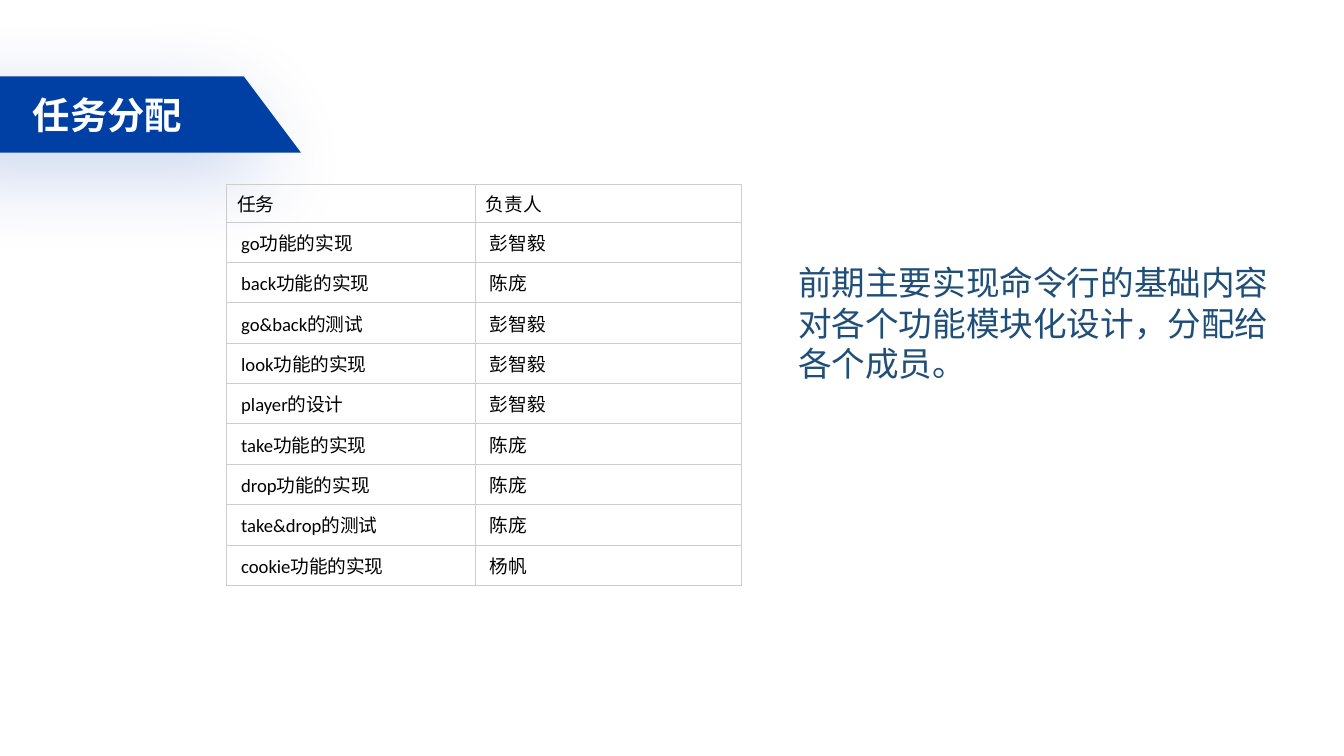
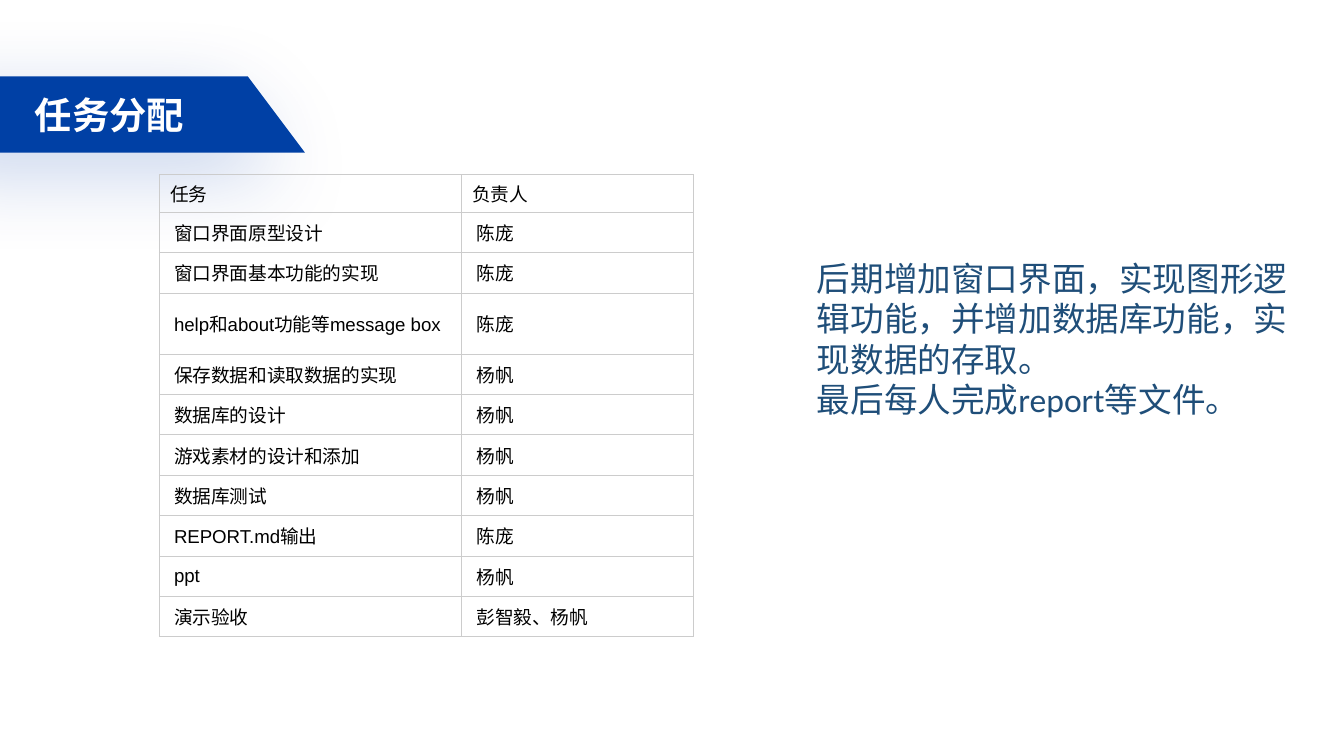
import pptx
import pptx.dml.color
import pptx.enum.shapes
import pptx.enum.text
import pptx.oxml
import pptx.oxml.ns
import pptx.util

WIDTH = pptx.util.Inches(10)
HEIGHT = WIDTH * 9 // 16
BAND_BLUE = "0040A5"
SHADOW_BLUE = "003DAB"
NOTE_BLUE = "1F4E79"
BORDER_GREY = "CCCCCC"
WHITE = "FFFFFF"
BLACK = "000000"
CJK_FONT = "Noto Sans CJK SC"
TITLE_ONLY = 5
BAND_TOP = 10.1
BAND_HEIGHT = 10.1
HEADER_ROW = 4.95
TASK_ROW = 5.34
LINE_STEP = 2.75

HEADINGS = ("任务", "负责人")
EARLY_TASKS = [
    ("go功能的实现", "彭智毅"),
    ("back功能的实现", "陈庞"),
    ("go&back的测试", "彭智毅"),
    ("look功能的实现", "彭智毅"),
    ("player的设计", "彭智毅"),
    ("take功能的实现", "陈庞"),
    ("drop功能的实现", "陈庞"),
    ("take&drop的测试", "陈庞"),
    ("cookie功能的实现", "杨帆"),
]
LATE_TASKS = [
    ("窗口界面原型设计", "陈庞"),
    ("窗口界面基本功能的实现", "陈庞"),
    ("help和about功能等message box", "陈庞"),
    ("保存数据和读取数据的实现", "杨帆"),
    ("数据库的设计", "杨帆"),
    ("游戏素材的设计和添加", "杨帆"),
    ("数据库测试", "杨帆"),
    ("REPORT.md输出", "陈庞"),
    ("ppt", "杨帆"),
    ("演示验收", "彭智毅、杨帆"),
]
EARLY_NOTE = ["前期主要实现命令行的基础内容", "对各个功能模块化设计，分配给各个成员。"]
LATE_NOTE = [
    "后期增加窗口界面，实现图形逻辑功能，并增加数据库功能，实现数据的存取。",
    "最后每人完成report等文件。",
]


def across(percent):
    return round(WIDTH * percent / 100)


def down(percent):
    return round(HEIGHT * percent / 100)


def area(left, top, width, height):
    return across(left), down(top), across(width), down(height)


def colour(code):
    return pptx.dml.color.RGBColor.from_string(code)


def xml(markup):
    namespace = pptx.oxml.ns.nsdecls("a")
    return pptx.oxml.parse_xml(markup.replace(" ", f" {namespace} ", 1))


def format_text(frame, size, font, code, east_asian=CJK_FONT, bold=False):
    for paragraph in frame.paragraphs:
        for run in paragraph.runs:
            run.font.size = pptx.util.Pt(size)
            run.font.name = font
            run.font.bold = bold
            run.font.color.rgb = colour(code)
            latin = run._r.rPr.find(pptx.oxml.ns.qn("a:latin"))
            latin.addnext(xml(f'<a:ea typeface="{east_asian}"/>'))


def add_title_band(slide, text, width):
    place = area(-6.4, BAND_TOP, width, BAND_HEIGHT)
    band = slide.shapes.add_shape(
        pptx.enum.shapes.MSO_SHAPE.PARALLELOGRAM, *place)
    band.adjustments[0] = 0.75
    band.fill.solid()
    band.fill.fore_color.rgb = colour(BAND_BLUE)
    band.line.fill.background()
    outline = band.element.spPr
    outline.find(pptx.oxml.ns.qn("a:xfrm")).set("flipH", "1")
    outline.append(xml(
        f'<a:effectLst ><a:outerShdw blurRad="{pptx.util.Pt(46)}" '
        f'dist="{pptx.util.Pt(16)}" dir="8100000" algn="tr" rotWithShape="0">'
        f'<a:srgbClr val="{SHADOW_BLUE}"><a:alpha val="22000"/></a:srgbClr>'
        '</a:outerShdw></a:effectLst>'))

    title = slide.shapes.title
    title.left, title.top, title.width, title.height = place
    band.element.addnext(title.element)
    frame = title.text_frame
    frame.text = text
    frame.auto_size = pptx.enum.text.MSO_AUTO_SIZE.NONE
    frame.vertical_anchor = pptx.enum.text.MSO_ANCHOR.MIDDLE
    frame.paragraphs[0].alignment = pptx.enum.text.PP_ALIGN.CENTER
    format_text(frame, 20, CJK_FONT, WHITE, bold=True)


def fill_cell(cell, text, font, side, edge):
    cell.text = text
    cell.margin_left = cell.margin_right = pptx.util.Inches(side)
    cell.margin_top = cell.margin_bottom = pptx.util.Inches(edge)
    cell.vertical_anchor = pptx.enum.text.MSO_ANCHOR.MIDDLE
    format_text(cell.text_frame, 10, font, BLACK)
    properties = cell._tc.get_or_add_tcPr()
    for border in ("lnL", "lnR", "lnT", "lnB"):
        properties.append(xml(
            f'<a:{border} w="{pptx.util.Pt(0.6)}"><a:solidFill>'
            f'<a:srgbClr val="{BORDER_GREY}"/></a:solidFill></a:{border}>'))
    cell.fill.background()


def add_task_table(slide, left, top, columns, tasks, font, wrapped=()):
    heights = [HEADER_ROW] + [
        TASK_ROW + LINE_STEP * (task in wrapped) for task, _ in tasks]
    table = slide.shapes.add_table(
        len(heights), len(columns),
        *area(left, top, sum(columns), sum(heights))).table
    table.first_row = table.horz_banding = False
    for column, width in zip(table.columns, columns):
        column.width = across(width)
    for row, height in zip(table.rows, heights):
        row.height = down(height)
    for cell, heading in zip(table.rows[0].cells, HEADINGS):
        fill_cell(cell, heading, CJK_FONT, 0.08, 0.04)
    for index, entry in enumerate(tasks, start=1):
        for cell, text in zip(table.rows[index].cells, entry):
            fill_cell(cell, text, font, 0.11, 0.05)


def add_note(slide, left, top, lines):
    frame = slide.shapes.add_textbox(*area(left, top, 38.3, 23.3)).text_frame
    frame.word_wrap = True
    frame.text = "\n".join(lines)
    format_text(frame, 18, "Calibri", NOTE_BLUE, east_asian="Calibri")


def main():
    deck = pptx.Presentation()
    deck.slide_width, deck.slide_height = WIDTH, HEIGHT
    layout = deck.slide_layouts[TITLE_ONLY]

    early = deck.slides.add_slide(layout)
    add_title_band(early, "任务分配", 28.8)
    add_task_table(early, 16.85, 24.4, (18.5, 19.8), EARLY_TASKS, "Calibri")
    add_note(early, 58.4, 33.8, EARLY_NOTE)

    late = deck.slides.add_slide(layout)
    add_title_band(late, "任务分配", 29.1)
    add_task_table(late, 11.85, 23.1, (22.5, 17.25), LATE_TASKS, "Arial",
                   wrapped=("help和about功能等message box",))
    add_note(late, 59.8, 33.25, LATE_NOTE)

    deck.save("out.pptx")


if __name__ == "__main__":
    main()
